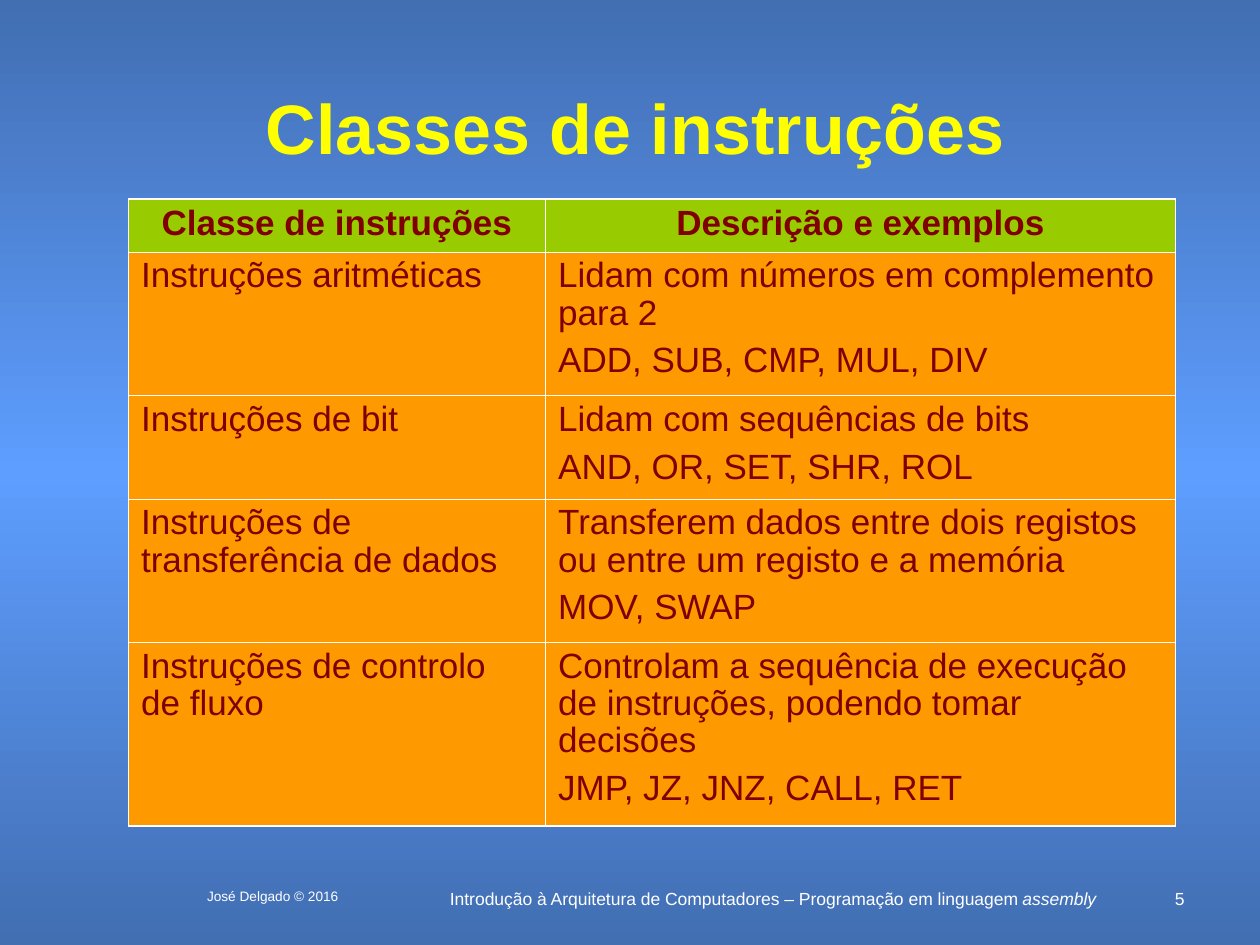
"""Builds a slide with a table of instruction classes."""
from lxml.etree import SubElement
from pptx import Presentation
from pptx.dml.color import RGBColor
from pptx.enum.text import MSO_ANCHOR, PP_ALIGN
from pptx.oxml import parse_xml
from pptx.oxml.ns import nsdecls, qn
from pptx.util import Inches, Pt

WHITE = RGBColor(0xFF, 0xFF, 0xFF)
YELLOW = RGBColor(0xFF, 0xFF, 0x00)
MAROON = RGBColor(0x80, 0x00, 0x00)
GREEN = RGBColor(0x99, 0xCC, 0x00)
ORANGE = RGBColor(0xFF, 0x99, 0x00)
DARK_BLUE = RGBColor(0x42, 0x6E, 0xB2)
LIGHT_BLUE = RGBColor(0x5E, 0x9E, 0xFF)

OUTER, INNER = Pt(1.08), Pt(0.45)


def add_label(slide, position, runs, size, color, align, bold=False):
    box = slide.shapes.add_textbox(*(Inches(length) for length in position))
    frame = box.text_frame
    frame.word_wrap = True
    paragraph = frame.paragraphs[0]
    paragraph.alignment = align
    font = paragraph.font
    font.name, font.size, font.bold = "Arial", Pt(size), bold
    font.color.rgb = color
    for text, italic in runs:
        run = paragraph.add_run()
        run.text = text
        if italic:
            run.font.italic = True
    return frame


def set_borders(cell, widths):
    properties = cell._tc.get_or_add_tcPr()
    for index, (side, width) in enumerate(widths.items()):
        line = parse_xml(
            f'<a:{side} {nsdecls("a")} w="{int(width)}"><a:solidFill>'
            f'<a:srgbClr val="{WHITE}"/></a:solidFill></a:{side}>'
        )
        properties.insert(index, line)


presentation = Presentation()
presentation.slide_width, presentation.slide_height = Inches(10), Inches(7.5)
slide = presentation.slides.add_slide(presentation.slide_layouts[6])

backdrop = slide.background.fill
backdrop.gradient()
backdrop.gradient_angle = 270
stops = slide.background._cSld.find(".//" + qn("a:gsLst"))
for stop in list(stops):
    stops.remove(stop)
for percent, color in [(0, DARK_BLUE), (50, LIGHT_BLUE), (100, DARK_BLUE)]:
    stop = SubElement(stops, qn("a:gs"), pos=str(percent * 1000))
    SubElement(stop, qn("a:srgbClr"), val=str(color))

course = [("Introdução à Arquitetura de Computadores – Programação em linguagem ", False),
          ("assembly", True)]
add_label(slide, (3.47, 7, 5.33, 0.25), course, 10, WHITE, PP_ALIGN.CENTER)
add_label(slide, (9.08, 7, 0.42, 0.17), [("5", False)], 10, WHITE, PP_ALIGN.RIGHT)
add_label(slide, (1.33, 7, 1.67, 0.25), [("José Delgado © 2016", False)], 7.8, WHITE,
          PP_ALIGN.CENTER)
title = add_label(slide, (0.75, 0.67, 8.58, 0.67), [("Classes de instruções", False)], 40,
                  YELLOW, PP_ALIGN.CENTER, bold=True)
title.vertical_anchor = MSO_ANCHOR.MIDDLE

classes = [
    (0.42, "Classe de instruções", ["Descrição e exemplos"]),
    (1.14, "Instruções aritméticas",
     ["Lidam com números em complemento para 2", "ADD, SUB, CMP, MUL, DIV"]),
    (0.82, "Instruções de bit",
     ["Lidam com sequências de bits", "AND, OR, SET, SHR, ROL"]),
    (1.14, "Instruções de transferência de dados",
     ["Transferem dados entre dois registos ou entre um registo e a memória", "MOV, SWAP"]),
    (1.45, "Instruções de controlo de fluxo",
     ["Controlam a sequência de execução de instruções, podendo tomar decisões",
      "JMP, JZ, JNZ, CALL, RET"]),
]
table = slide.shapes.add_table(len(classes), 2, Inches(1.02), Inches(1.58),
                               Inches(8.31), Inches(4.97)).table
table.columns[0].width, table.columns[1].width = Inches(3.31), Inches(5)
table.horz_banding = False

for row, (height, name, description) in enumerate(classes):
    table.rows[row].height = Inches(height)
    header = row == 0
    for column, lines in enumerate([[name], description]):
        cell = table.cell(row, column)
        cell.fill.solid()
        cell.fill.fore_color.rgb = GREEN if header else ORANGE
        cell.text_frame.text = "\n".join(lines)
        for index, paragraph in enumerate(cell.text_frame.paragraphs):
            paragraph.alignment = PP_ALIGN.CENTER if header else PP_ALIGN.LEFT
            paragraph.line_spacing = 0.95
            paragraph.space_before = Pt(6.2 if index else 0)
            font = paragraph.font
            font.name, font.size, font.bold = "Arial", Pt(20), header
            font.color.rgb = MAROON
        set_borders(cell, {
            "lnL": OUTER if column == 0 else INNER,
            "lnR": OUTER if column == 1 else INNER,
            "lnT": OUTER if header else INNER,
            "lnB": OUTER if row == len(classes) - 1 else INNER,
        })

presentation.save("out.pptx")
